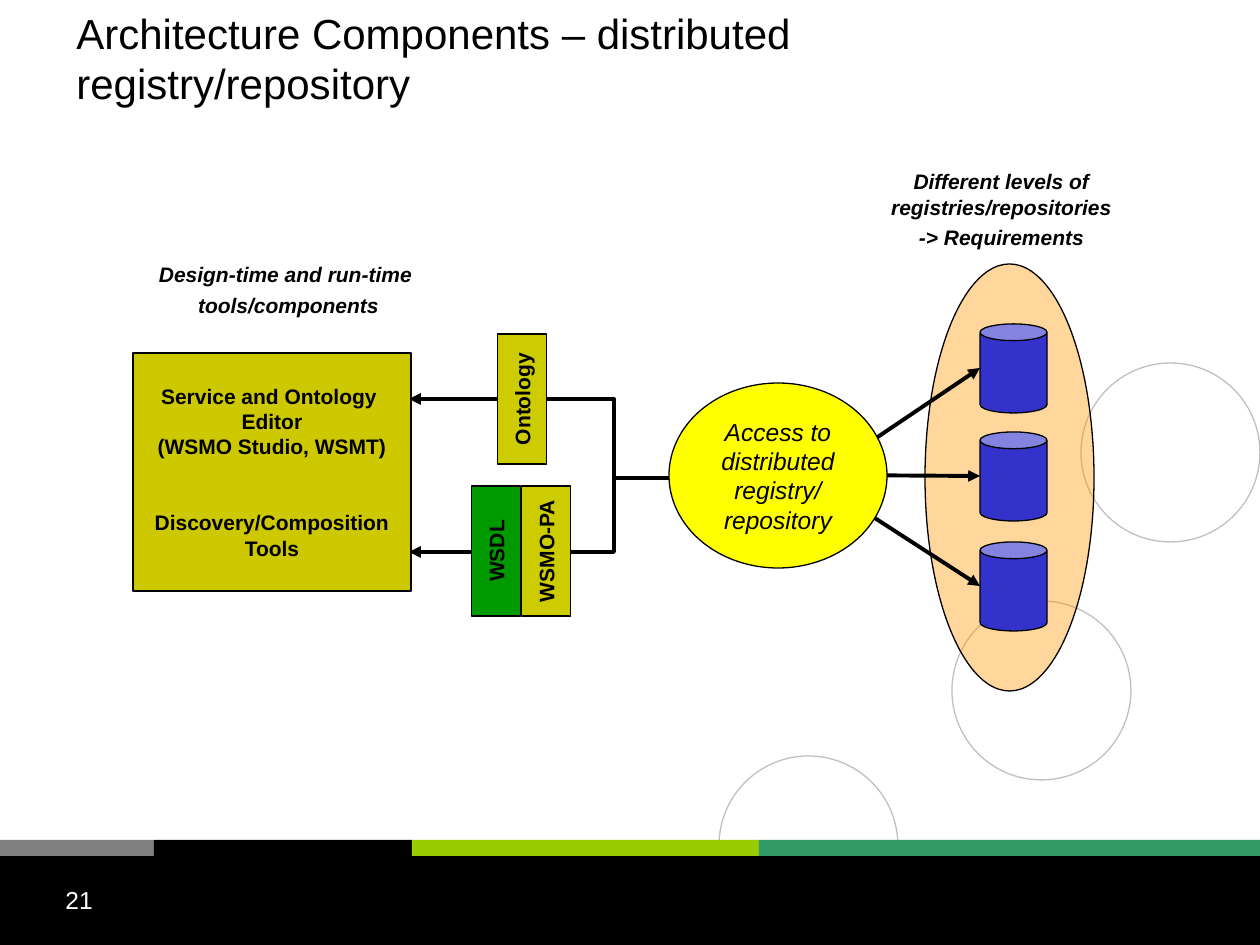
from lxml import etree
from pptx import Presentation
from pptx.dml.color import RGBColor
from pptx.enum.shapes import MSO_CONNECTOR, MSO_SHAPE
from pptx.enum.text import MSO_ANCHOR, PP_ALIGN
from pptx.oxml.ns import qn
from pptx.util import Pt

PX = 914400 / 126  # EMU in one px

# Content: boxes are (left, top, width, height) in px
TITLE = "Architecture Components – distributed registry/repository"
CIRCLES = [(719, 756), (952, 601), (1081, 363)]
CIRCLE_SIZE = 179
BANDS = [
    ((0, 851, 1260, 94), "000000"),
    ((0, 840, 154, 16), "808080"),
    ((154, 840, 258, 16), "000000"),
    ((412, 840, 347, 16), "99CC00"),
    ((759, 840, 501, 16), "339966"),
]
INTERFACES = [  # text, centre x, centre y, fill
    ("WSDL", 496, 551, "009900"),
    ("WSMO-PA", 546, 551, "CCCC00"),
    ("Ontology", 522, 399, "CCCC00"),
]
INTERFACE_LENGTH, INTERFACE_DEPTH = 130, 49
TOOLS = ["Service and Ontology \vEditor\v(WSMO Studio, WSMT)",
         "Discovery/Composition\vTools"]
ACCESS = ["Access to distributed registry/\vrepository"]
LABELS = [
    (["Design-time and run-time ", "tools/components"], (105, 265, 367, 49)),
    (["Different levels of registries/repositories", "-> Requirements"],
     (788, 165, 427, 89)),
]
TOOL_LINKS = [(409, 552, 819, 478), (409, 399, 819, 478)]
REPOSITORY_LINKS = [(814, 480, 980, 368), (819, 475, 980, 476), (816, 480, 980, 586)]
REPOSITORY_TOPS = [324, 432, 542]

presentation = Presentation()
presentation.slide_width = round(1260 * PX)
presentation.slide_height = round(945 * PX)
slide = presentation.slides.add_slide(presentation.slide_layouts[6])


def color(value):
    return RGBColor.from_string(value)


def emu(box):
    return [round(value * PX) for value in box]


def add_shape(kind, box, fill=None, line=None, width=0.75):
    shape = slide.shapes.add_shape(kind, *emu(box))
    shape.shadow.inherit = False
    if fill:
        shape.fill.solid()
        shape.fill.fore_color.rgb = color(fill)
    else:
        shape.fill.background()
    if line:
        shape.line.color.rgb = color(line)
        shape.line.width = Pt(width)
    else:
        shape.line.fill.background()
    return shape


def write(shape, texts, size=12, bold=False, italic=False, ink="000000", gap=3,
          wrap=False, align=PP_ALIGN.CENTER, anchor=MSO_ANCHOR.MIDDLE):
    frame = shape.text_frame
    frame.word_wrap = wrap
    frame.vertical_anchor = anchor
    for index, text in enumerate(texts):
        paragraph = frame.add_paragraph() if index else frame.paragraphs[0]
        paragraph.text = text
        paragraph.alignment = align
        if index:
            paragraph.space_before = Pt(gap)
        font = paragraph.font
        font.name, font.size, font.bold, font.italic = "Arial", Pt(size), bold, italic
        font.color.rgb = color(ink)


def add_text(box, texts, **style):
    write(slide.shapes.add_textbox(*emu(box)), texts, **style)


def add_link(kind, ends):
    connector = slide.shapes.add_connector(kind, *emu(ends))
    connector.line.color.rgb = color("000000")
    connector.line.width = Pt(2.25)
    line = connector.line._get_or_add_ln()
    for end in ("a:headEnd", "a:tailEnd"):
        etree.SubElement(line, qn(end), type="triangle")
    etree.SubElement(connector._element.spPr, qn("a:effectLst"))


# Background circles and footer bands
for left, top in CIRCLES:
    add_shape(MSO_SHAPE.OVAL, (left, top, CIRCLE_SIZE, CIRCLE_SIZE), line="C0C0C0")
for box, fill in BANDS:
    add_shape(MSO_SHAPE.RECTANGLE, box, fill)

# Translucent oval around the repositories
group_oval = add_shape(MSO_SHAPE.OVAL, (925, 264, 169, 427), "FF9900", "000000")
oval_color = group_oval._element.spPr.find(qn("a:solidFill"))[0]
etree.SubElement(oval_color, qn("a:alpha"), val="39000")

add_text((64, 0, 987, 116), [TITLE], size=24, wrap=True, align=PP_ALIGN.LEFT)

# Tools, linked to the access point through the interfaces
for ends in TOOL_LINKS:
    add_link(MSO_CONNECTOR.ELBOW, ends)
tools = add_shape(MSO_SHAPE.RECTANGLE, (133, 353, 278, 238), "CDC800", "000000")
write(tools, TOOLS, bold=True, gap=29)
for text, center_x, center_y, fill in INTERFACES:
    box = (center_x - INTERFACE_LENGTH / 2, center_y - INTERFACE_DEPTH / 2,
           INTERFACE_LENGTH, INTERFACE_DEPTH)
    interface = add_shape(MSO_SHAPE.RECTANGLE, box, fill, "000000", 1)
    interface.rotation = 270
    write(interface, [text], bold=True)

# Repositories and their links
for top in REPOSITORY_TOPS:
    add_shape(MSO_SHAPE.CAN, (980, top, 67, 89), "3333CC", "000000")
for ends in REPOSITORY_LINKS:
    add_link(MSO_CONNECTOR.STRAIGHT, ends)

# Access point covers the inner link ends
access = add_shape(MSO_SHAPE.OVAL, (669, 383, 218, 185), "FFFF01", "000000")
write(access, ACCESS, size=14, italic=True, wrap=True)

# Labels and slide number
for texts, box in LABELS:
    add_text(box, texts, bold=True, italic=True)
add_text((53, 879, 294, 66), ["21"], size=14, ink="FFFFFF", wrap=True,
         align=PP_ALIGN.LEFT, anchor=MSO_ANCHOR.TOP)

presentation.save("out.pptx")
